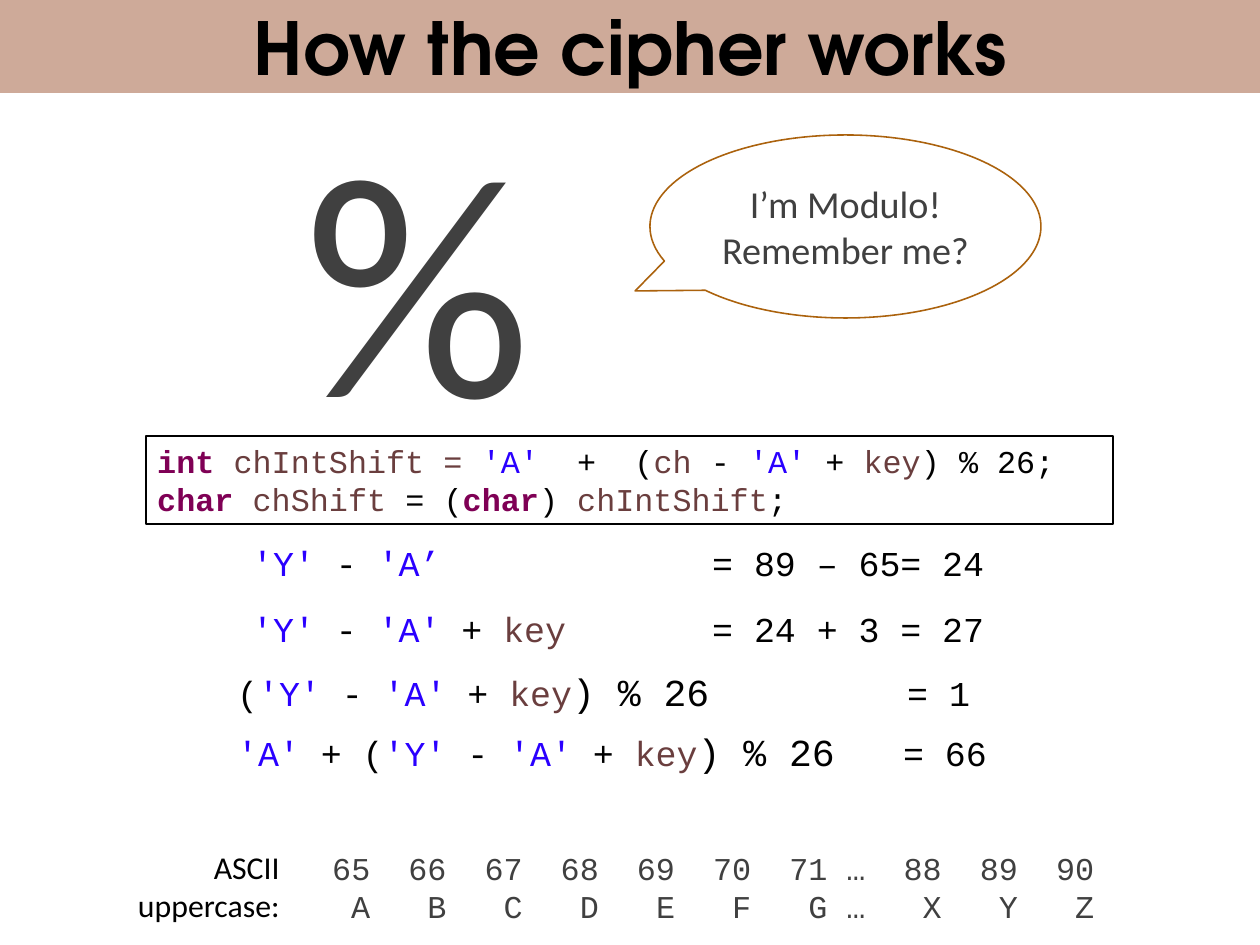
import pptx
import pptx.util
import pptx.dml.color
import pptx.enum.shapes
import pptx.enum.text
import pptx.oxml.ns
import lxml.etree

RGB = pptx.dml.color.RGBColor
SHAPES = pptx.enum.shapes.MSO_SHAPE
ALIGN = pptx.enum.text.PP_ALIGN
ANCHOR = pptx.enum.text.MSO_ANCHOR

BLACK = RGB(0x00, 0x00, 0x00)
GRAY = RGB(0x40, 0x40, 0x40)
TAN = RGB(0xC2, 0x95, 0x80)
BRONZE = RGB(0xAB, 0x62, 0x0D)
KEYWORD = RGB(0x7F, 0x00, 0x55)
VARIABLE = RGB(0x6A, 0x3E, 0x3E)
LITERAL = RGB(0x2A, 0x00, 0xFF)

TITLE_FONT = "TeX Gyre Adventor"
BODY_FONT = "Calibri"
CODE_FONT = "Courier New"
EMU_PER_PX = 8000

Y_MINUS = [("'Y'", LITERAL), (" - ", BLACK)]
Y_MINUS_A_PLUS_KEY = Y_MINUS + [("'A'", LITERAL), (" + ", BLACK), ("key", VARIABLE)]

CODE_LINES = [
    [("int ", KEYWORD), ("chIntShift = ", VARIABLE), ("'A' ", LITERAL),
     (" +  (", BLACK), ("ch", VARIABLE), (" - ", BLACK), ("'A'", LITERAL),
     (" + ", BLACK), ("key", VARIABLE), (") % 26;", BLACK)],
    [("char ", KEYWORD), ("chShift", VARIABLE), (" = (", BLACK),
     ("char", KEYWORD), (") ", BLACK), ("chIntShift", VARIABLE), (";", BLACK)],
]

STEPS = [
    ((241, 536, 767, 54), 460,
     Y_MINUS + [("'A’", LITERAL), ("\t= 89 – 65= 24", BLACK)]),
    ((241, 602, 767, 54), 460,
     Y_MINUS_A_PLUS_KEY + [("\t= 24 + 3 = 27", BLACK)]),
    ((226, 663, 815, 57), 670,
     [("(", BLACK)] + Y_MINUS_A_PLUS_KEY
     + [(") % 26", BLACK, 24), ("\t= 1", BLACK)]),
    ((226, 723, 865, 57), 666,
     [("'A' ", LITERAL), ("+ (", BLACK)] + Y_MINUS_A_PLUS_KEY
     + [(") % 26", BLACK, 24), ("\t= 66", BLACK)]),
]

LETTERS = "ABCDEFG…XYZ"
CHARACTER_WIDTH = 19.05


def px(length):
    return pptx.util.Emu(round(length * EMU_PER_PX))


def add_box(page, box, kind=None, fill=None, line=None, weight=1):
    left, top, width, height = map(px, box)
    if kind is None:
        shape = page.shapes.add_textbox(left, top, width, height)
    else:
        shape = page.shapes.add_shape(kind, left, top, width, height)
        shape.shadow.inherit = False
        if fill is None:
            shape.fill.background()
        else:
            shape.fill.solid()
            shape.fill.fore_color.rgb = fill
        if line is None:
            shape.line.fill.background()
        else:
            shape.line.color.rgb = line
            shape.line.width = pptx.util.Pt(weight)
    return shape


def set_tabs(para, stops, align):
    properties = para._p.get_or_add_pPr()
    tabs = lxml.etree.SubElement(properties, pptx.oxml.ns.qn("a:tabLst"))
    for stop in stops:
        lxml.etree.SubElement(tabs, pptx.oxml.ns.qn("a:tab"), pos=str(px(stop)), algn=align)


def write(shape, lines, font, size, align=ALIGN.LEFT, anchor=ANCHOR.TOP,
          wrap=True, bold=False, stops=(), tab_align="l"):
    frame = shape.text_frame
    frame.word_wrap = wrap
    frame.vertical_anchor = anchor
    for number, spans in enumerate(lines):
        para = frame.add_paragraph() if number else frame.paragraphs[0]
        para.alignment = align
        if stops:
            set_tabs(para, stops, tab_align)
        for text, color, *own_size in spans:
            if text == "\n":
                para.add_line_break()
                continue
            span = para.add_run()
            span.text = text
            span.font.name = font
            span.font.size = pptx.util.Pt(own_size[0] if own_size else size)
            span.font.bold = bold or color == KEYWORD
            span.font.color.rgb = color


def add_title(page, box):
    banner = add_box(page, box, SHAPES.RECTANGLE, fill=TAN)
    color = banner.fill._xPr.find(".//" + pptx.oxml.ns.qn("a:srgbClr"))
    lxml.etree.SubElement(color, pptx.oxml.ns.qn("a:alpha"), val="80000")
    write(banner, [[("How the cipher works", BLACK)]], TITLE_FONT, 46,
          ALIGN.CENTER, ANCHOR.MIDDLE, bold=True)


def add_modulo(page, box):
    left, top, width, height = box
    sign = add_box(page, (left, top, 249, height))
    write(sign, [[("%", GRAY)]], BODY_FONT, 200, wrap=False)
    bubble = add_box(page, (left + width - 391, top + 61, 391, 183),
                     SHAPES.OVAL_CALLOUT, line=BRONZE)
    bubble.adjustments[0] = -0.538
    bubble.adjustments[1] = 0.352
    write(bubble, [[("I’m Modulo!", GRAY)], [("Remember me?", GRAY)]],
          BODY_FONT, 24, ALIGN.CENTER, ANCHOR.MIDDLE)


def add_code(page, box):
    panel = add_box(page, box, SHAPES.RECTANGLE, line=BLACK, weight=0.75)
    write(panel, CODE_LINES, CODE_FONT, 20)


def add_step(page, box, stop, spans):
    write(add_box(page, box), [spans], CODE_FONT, 22, stops=[stop])


def add_ascii(page, box):
    left, top, width, height = box
    columns = [*range(2, 27, 4), *range(28, 41, 4)]
    codes = [letter if letter == "…" else str(ord(letter)) for letter in LETTERS]
    rows = [[("".join("\t" + cell for cell in row), GRAY)] for row in (codes, LETTERS)]
    listing = add_box(page, (left + 195, top + 1, width - 195, height))
    write(listing, rows, CODE_FONT, 20,
          stops=[column * CHARACTER_WIDTH for column in columns], tab_align="r")
    label = add_box(page, (left, top, 165, height))
    write(label, [[("ASCII", BLACK), ("\n", BLACK), ("uppercase:", BLACK)]],
          BODY_FONT, 20, ALIGN.RIGHT, wrap=False)


def main():
    deck = pptx.Presentation()
    deck.slide_width = px(1260)
    deck.slide_height = px(945)
    page = deck.slides.add_slide(deck.slide_layouts[6])
    add_title(page, (0, 0, 1260, 93))
    add_modulo(page, (293, 74, 748, 397))
    add_code(page, (146, 436, 967, 88))
    for box, stop, spans in STEPS:
        add_step(page, box, stop, spans)
    add_ascii(page, (126, 842, 987, 88))
    deck.save("out.pptx")


if __name__ == "__main__":
    main()
